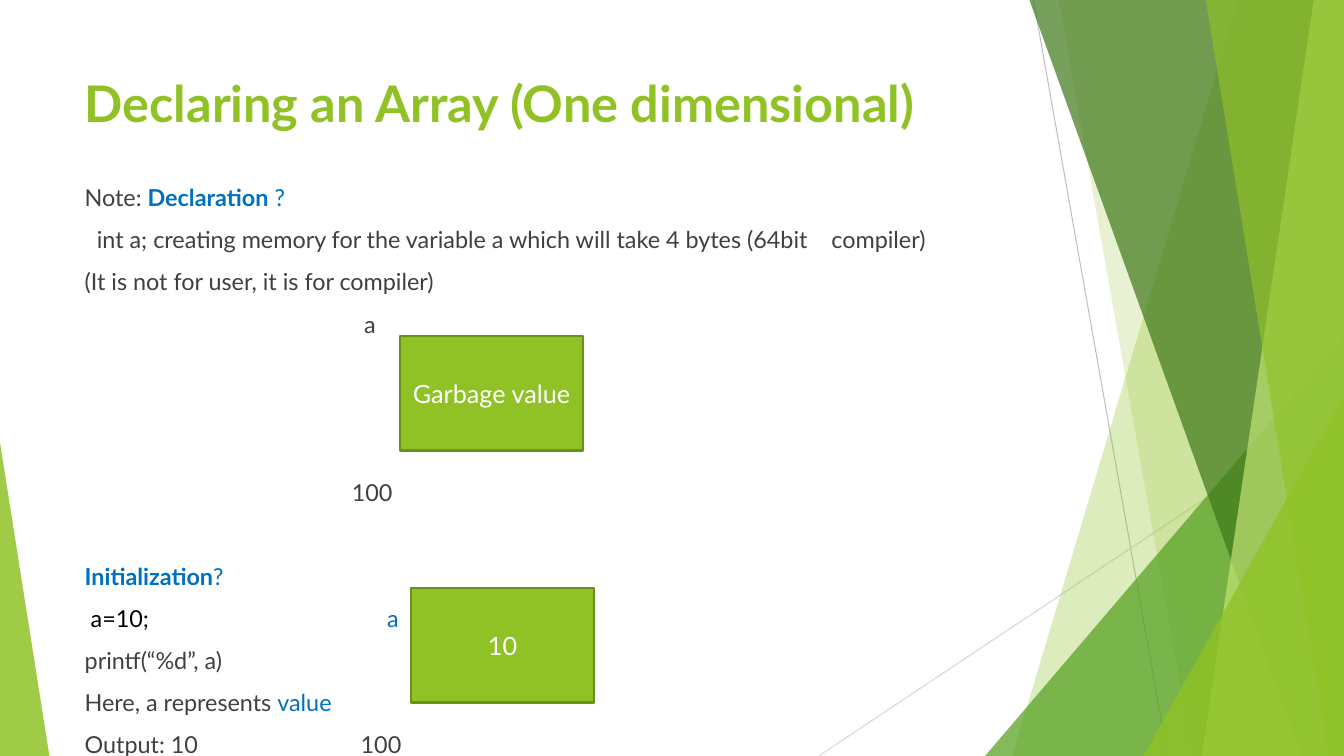
from pptx import Presentation, util as u
from pptx.dml.color import RGBColor
from pptx.enum import shapes as sh, text as tx
from pptx.oxml.ns import qn
from lxml import etree

W, H = 13.33, 7.5
FONT = "Lato"
GREEN, BLUE, GREY, BLACK, WHITE = "90C226", "0070C0", "404040", "000000", "FFFFFF"

TITLE = "Declaring an Array (One dimensional)"
# rows: space before, left indent, runs of (text, colour, bold)
BODY = [
    (10, 0, [("Note: ", GREY, False), ("Declaration", BLUE, True), (" ?", BLUE, False)]),
    (10, 0.12, [("int a; creating memory for the variable a which will take "
                 "4 bytes (64bit    compiler)", GREY, False)]),
    (10, 0, [("(It is not for user, it is for compiler)", GREY, False)]),
    (10, 2.77, [("a", GREY, False)]),
    (100, 2.65, [("100", GREY, False)]),
    (40, 0, [("Initialization", BLUE, True), ("?", BLUE, False)]),
    (10, 0, [(" a=10;", BLACK, False), ("\t" * 5 + "a", BLUE, False)]),
    (10, 0, [("printf(“%d”, a)", GREY, False)]),
    (10, 0, [("Here, a represents ", GREY, False), ("value", BLUE, False)]),
    (10, 0, [("Output: 10\t\t\t    100", GREY, False)]),
]
BOXES = [("Garbage value", 3.97, 3.33), ("10", 4.08, 5.83)]
LINES = [(10.25, 0, 11.58, H, "BFBFBF"), (W, 4.03, 8.12, H, "D9D9D9")]
BANDS = [
    ("band", 12.28, 10.04, GREEN, 30),
    ("band", 10.5, 11.83, GREEN, 20),
    ("peak", 9.77, 3.33, 3.56, 1, "54A021", 72),
    ("band", 10.21, 12.91, "3F7819", 70),
    ("band", 13.03, 11.92, "C0E474", 70),
    ("band", 11.96, 13.18, GREEN, 65),
    ("peak", 11.34, 3.93, 1.99, 1, GREEN, 80),
    ("peak", 0, 4.39, 0.49, 0, GREEN, 85),
]


def rgb(code):
    return RGBColor.from_string(code)


def paint(shape, color, alpha=100):
    shape.shadow.inherit = False
    shape.fill.solid()
    shape.fill.fore_color.rgb = rgb(color)
    if alpha < 100:
        node = shape.fill._xPr.find(".//" + qn("a:srgbClr"))
        etree.SubElement(node, qn("a:alpha"), val=str(alpha * 1000))


def rule(x1, y1, x2, y2, color):
    line = art.add_connector(sh.MSO_CONNECTOR.STRAIGHT, *map(u.Inches, (x1, y1, x2, y2)))
    line.line.color.rgb = rgb(color)
    line.line.width = u.Pt(0.75)
    etree.SubElement(line._element.spPr, qn("a:effectLst"))


def band(top, foot, color, alpha):
    spots = [(u.Inches(x), u.Inches(y)) for x, y in ((top, 0), (W, 0), (W, H), (foot, H))]
    pen = art.build_freeform(*spots[0], scale=1.0)
    pen.add_line_segments(spots[1:], close=True)
    shape = pen.convert_to_shape()
    paint(shape, color, alpha)
    shape.line.fill.background()


def peak(left, top, width, tip, color, alpha):
    shape = art.add_shape(sh.MSO_SHAPE.ISOSCELES_TRIANGLE,
                          *map(u.Inches, (left, top, width, H - top)))
    shape.adjustments[0] = tip
    paint(shape, color, alpha)
    shape.line.fill.background()


def box(label, left, top):
    shape = art.add_shape(sh.MSO_SHAPE.RECTANGLE, *map(u.Inches, (left, top, 1.81, 1.14)))
    paint(shape, GREEN)
    shape.line.color.rgb = rgb("6B901C")
    shape.line.width = u.Pt(1.5)
    frame = shape.text_frame
    frame.word_wrap = True
    frame.vertical_anchor = tx.MSO_ANCHOR.MIDDLE
    para = frame.paragraphs[0]
    para.text = label
    para.alignment = tx.PP_ALIGN.CENTER
    style(para.font, 18, WHITE)


def style(font, size, color, bold=False):
    font.name, font.size, font.bold = FONT, u.Pt(size), bold
    font.color.rgb = rgb(color)


def place(holder, top, height):
    art._spTree.append(holder._element)
    holder.left, holder.top, holder.width, holder.height = map(
        u.Inches, (0.74, top, 9.4, height))
    frame = holder.text_frame
    frame.word_wrap = True
    frame.auto_size = tx.MSO_AUTO_SIZE.NONE
    frame.vertical_anchor = tx.MSO_ANCHOR.TOP
    return frame


def write(para, gap, left, runs):
    para.space_before = u.Pt(gap)
    para.alignment = tx.PP_ALIGN.LEFT
    props = para._p.get_or_add_pPr()
    props.set("marL", str(u.Inches(left)))
    props.set("indent", "0")
    etree.SubElement(props, qn("a:buNone"))
    for words, color, bold in runs:
        run = para.add_run()
        run.text = words
        style(run.font, 16.7, color, bold)


deck = Presentation()
deck.slide_width, deck.slide_height = u.Inches(W), u.Inches(H)
slide = deck.slides.add_slide(deck.slide_layouts[1])
art = slide.shapes
title, body = slide.placeholders

for row in LINES:
    rule(*row)
for kind, *row in BANDS:
    (band if kind == "band" else peak)(*row)

head = place(title, 0.67, 0.9).paragraphs[0]
head.text = TITLE
head.alignment = tx.PP_ALIGN.LEFT
style(head.font, 36, GREEN, True)

frame = place(body, 1.77, 5.73)
for i, row in enumerate(BODY):
    write(frame.add_paragraph() if i else frame.paragraphs[0], *row)

for row in BOXES:
    box(*row)

deck.save("out.pptx")
